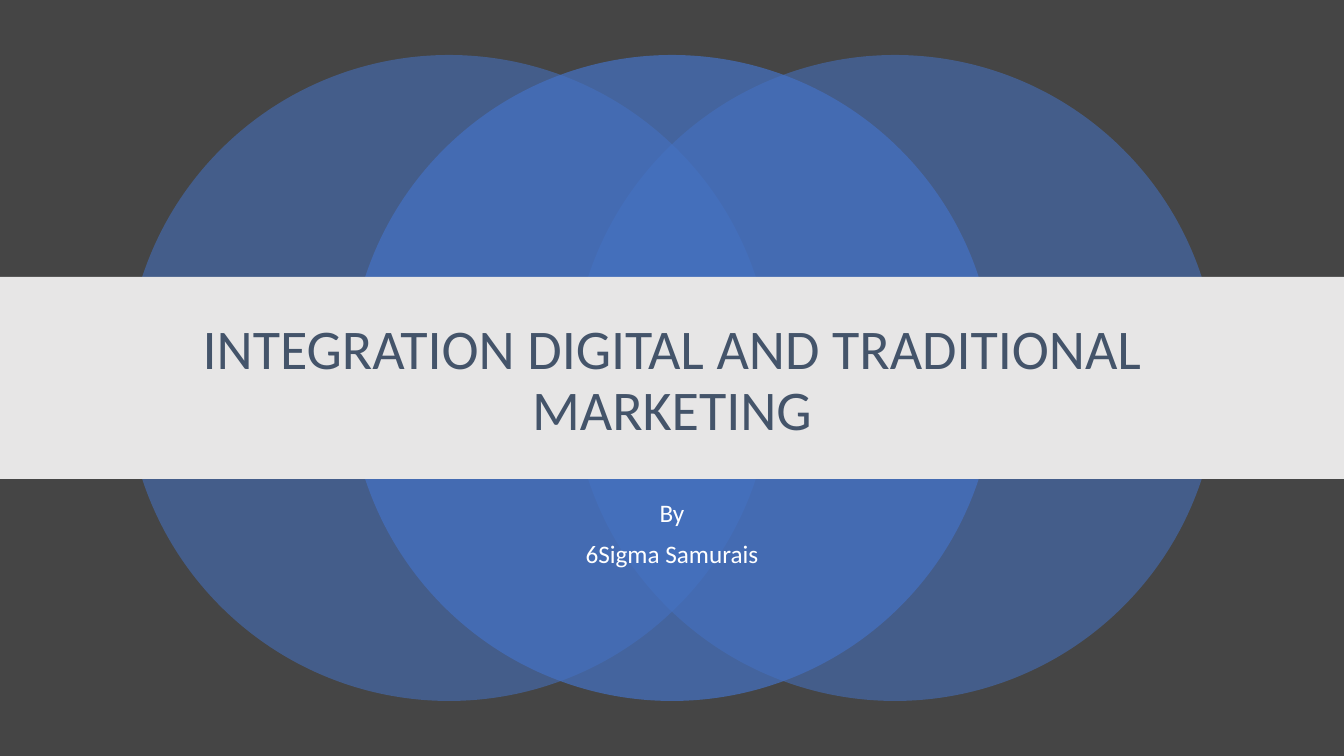
from lxml import etree
from pptx import Presentation
from pptx import util as u
from pptx.dml.color import RGBColor
from pptx.enum import shapes, text
from pptx.oxml.ns import qn

WIDTH, HEIGHT = 1344, 756
SCALE = u.Inches(1) / 100.8
FONT = "Calibri"
BACKGROUND, CIRCLE, BAND = "454545", "4472C4", "E7E6E6"
TITLE, SUBTITLE = "44546A", "FFFFFF"
CIRCLE_SIZE, CIRCLE_STEP = 646, 223


def px(length):
    """Turn pixels into EMU."""
    return u.Emu(round(length * SCALE))


def paint(fill, colour, opacity=100):
    """Give a fill one solid colour, with an opacity in percent."""
    fill.solid()
    fill.fore_color.rgb = RGBColor.from_string(colour)
    if opacity < 100:
        tint = fill._xPr.find(qn("a:solidFill"))[0]
        etree.SubElement(tint, qn("a:alpha"), val=str(opacity * 1000))


def add_figure(page, kind, bounds, colour, opacity=100):
    """Add a preset shape without outline or shadow."""
    figure = page.shapes.add_shape(kind, *map(px, bounds))
    figure.shadow.inherit = False
    paint(figure.fill, colour, opacity)
    figure.line.fill.background()


def add_circles(page):
    """Add the overlapping circles, the denser middle one in front."""
    middle = (WIDTH - CIRCLE_SIZE) / 2
    top = (HEIGHT - CIRCLE_SIZE) / 2
    for step, opacity in ((-1, 55), (1, 55), (0, 70)):
        bounds = (middle + step * CIRCLE_STEP, top, CIRCLE_SIZE, CIRCLE_SIZE)
        add_figure(page, shapes.MSO_SHAPE.OVAL, bounds, CIRCLE, opacity)


def write(box, bounds, lines, size, colour, anchor, before=0):
    """Place a text box and write centred paragraphs in it."""
    box.left, box.top, box.width, box.height = map(px, bounds)
    frame = box.text_frame
    frame.word_wrap = True
    frame.auto_size = text.MSO_AUTO_SIZE.NONE
    frame.vertical_anchor = anchor
    for index, line in enumerate(lines):
        para = frame.add_paragraph() if index else frame.paragraphs[0]
        para.alignment = text.PP_ALIGN.CENTER
        para.line_spacing = 0.9
        para.space_before = u.Pt(before)
        span = para.add_run()
        span.text = line
        span.font.name = FONT
        span.font.size = u.Pt(size)
        span.font.color.rgb = RGBColor.from_string(colour)


def main():
    """Build the title slide."""
    deck = Presentation()
    deck.slide_width, deck.slide_height = px(WIDTH), px(HEIGHT)
    page = deck.slides.add_slide(deck.slide_layouts[5])
    paint(page.background.fill, BACKGROUND)

    add_circles(page)
    subtitle = page.shapes.add_textbox(0, 0, 0, 0)
    write(subtitle, (168, 496, 1008, 84), ["By", "6Sigma Samurais"],
          18, SUBTITLE, text.MSO_ANCHOR.TOP, before=10)
    add_figure(page, shapes.MSO_SHAPE.RECTANGLE, (0, 277, WIDTH, 202), BAND)

    title = page.shapes.title
    write(title, (168, 306, 1008, 152),
          ["INTEGRATION DIGITAL AND TRADITIONAL MARKETING"],
          40, TITLE, text.MSO_ANCHOR.MIDDLE)
    page.shapes._spTree.append(title._element)  # bring the title to the front

    deck.save("out.pptx")


main()
